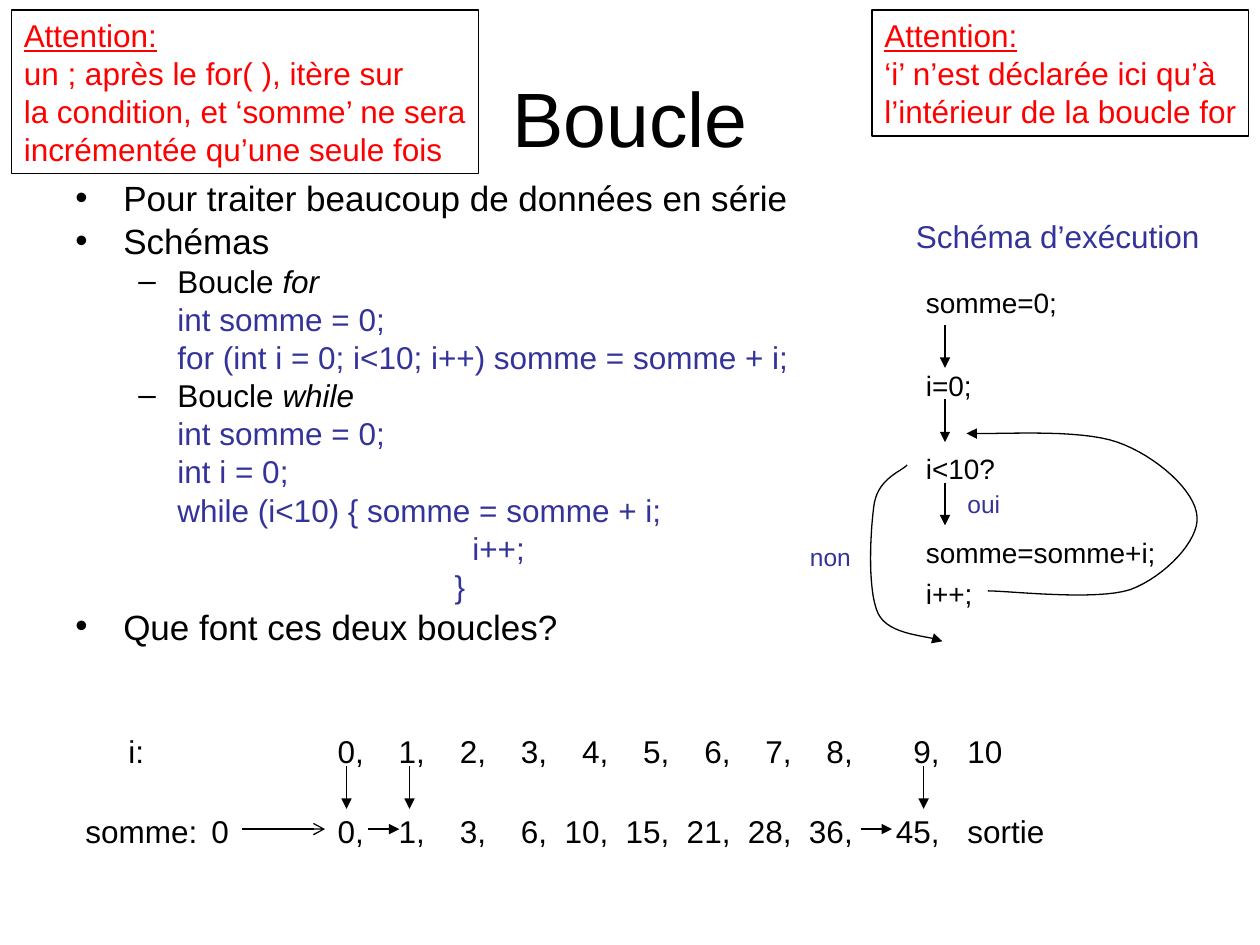
from lxml import etree
from pptx import Presentation
from pptx.dml.color import RGBColor
from pptx.enum.shapes import MSO_CONNECTOR, MSO_SHAPE
from pptx.enum.text import MSO_ANCHOR, PP_ALIGN
from pptx.oxml.ns import qn
from pptx.util import Inches, Pt

STRAIGHT = MSO_CONNECTOR.STRAIGHT
RECTANGLE = MSO_SHAPE.RECTANGLE
MIDDLE = MSO_ANCHOR.MIDDLE
LEFT, CENTER = PP_ALIGN.LEFT, PP_ALIGN.CENTER
BLACK, BLUE, RED = "000000", "333399", "FF0000"
CURVE_STEPS = 16

OUTLINE = [
    (0, "Pour traiter beaucoup de données en série", ""),
    (0, "Schémas", ""),
    (1, "Boucle ", "for"),
    (0.81, "int somme = 0;", ""),
    (0.81, "for (int i = 0; i<10; i++) somme = somme + i;", ""),
    (1, "Boucle ", "while"),
    (0.81, "int somme = 0;", ""),
    (0.81, "int i = 0;", ""),
    (0.81, "while (i<10) { somme = somme + i;", ""),
    (3.15, "i++;", ""),
    (3.01, "}", ""),
    (0, "Que font ces deux boucles?", ""),
]
BULLETS = {0: (0.38, 0.38, "•", 20, 5), 1: (0.81, 0.31, "–", 18, 4.5)}
SUMS = [0, 1, 3, 6, 10, 15, 21, 28, 36, 45]
EXIT_CURVE = [
    (7.2, 3.69), (7.16, 3.74), (6.98, 3.79), (6.94, 3.99), (6.91, 4.18),
    (6.88, 4.68), (6.97, 4.87), (7.06, 5.05), (7.37, 5.04), (7.48, 5.09),
]
REPEAT_CURVE = [
    (7.84, 4.69), (8.02, 4.69), (8.69, 4.77), (8.97, 4.68), (9.24, 4.58),
    (9.52, 4.29), (9.5, 4.1), (9.49, 3.9), (9.18, 3.62), (8.87, 3.51),
    (8.56, 3.4), (7.92, 3.45), (7.67, 3.44),
]


def color(value):
    """Turn a hex string into a colour."""
    return RGBColor.from_string(value)


def style(para, size, ink):
    """Set the font of a whole paragraph."""
    para.font.name = "Arial"
    para.font.size = Pt(size)
    para.font.color.rgb = color(ink)


def add_box(page, left, top, width, height):
    """Add an empty wrapping text box and return its text frame."""
    frame = page.shapes.add_textbox(
        Inches(left), Inches(top), Inches(width), Inches(height)).text_frame
    frame.word_wrap = True
    return frame


def add_para(frame, index):
    """Return the first paragraph of a frame, or a new one after it."""
    return frame.add_paragraph() if index else frame.paragraphs[0]


def add_label(page, left, top, width, height, text, size, ink=BLUE):
    """Add a one-line label and return its text frame."""
    frame = add_box(page, left, top, width, height)
    frame.paragraphs[0].text = text
    style(frame.paragraphs[0], size, ink)
    return frame


def set_indent(para, margin, hanging=0, bullet=None):
    """Set the left margin of a paragraph, with a hanging bullet if given."""
    props = para._p.get_or_add_pPr()
    props.set("marL", str(Inches(margin)))
    props.set("indent", str(-Inches(hanging)))
    if bullet:
        etree.SubElement(props, qn("a:buFont"), typeface="Arial")
        etree.SubElement(props, qn("a:buChar"), char=bullet)
    else:
        etree.SubElement(props, qn("a:buNone"))


def set_tabs(para, stops):
    """Set tab stops given as (position, alignment) pairs."""
    tabs = etree.SubElement(para._p.get_or_add_pPr(), qn("a:tabLst"))
    for position, side in stops:
        etree.SubElement(tabs, qn("a:tab"), pos=str(Inches(position)), algn=side)


def add_outline(page):
    """Add the bulleted outline with its code lines."""
    frame = add_box(page, 0.5, 1.42, 6.08, 4)
    for index, (level, text, keyword) in enumerate(OUTLINE):
        para = add_para(frame, index)
        margin, hanging, bullet, size, gap = BULLETS.get(
            level, (level, 0, None, 18, 4.5))
        set_indent(para, margin, hanging, bullet)
        para.line_spacing = 0.8
        if index:
            para.space_before = Pt(gap)
        para.add_run().text = text
        if keyword:
            span = para.add_run()
            span.text = keyword
            span.font.italic = True
        style(para, size, BLACK if bullet else BLUE)


def add_trace(page):
    """Add the two rows that follow i and somme through the loop."""
    frame = add_box(page, 0.58, 5.58, 9, 1.22)
    columns = [(2.21 + 0.485 * step, "r") for step in range(9)]
    columns += [(6.78, "r"), (7, "l")]
    rows = [(0.34, "\ti:", range(10), "10"), (1, "somme:\t0", SUMS, "sortie")]
    for index, (first_stop, head, values, last) in enumerate(rows):
        para = add_para(frame, index)
        set_tabs(para, [(first_stop, "l")] + columns)
        para.line_spacing = 1.6
        if index:
            para.space_before = Pt(11.2)
        para.text = "\t".join([head, *(f"{value}," for value in values), last])
        style(para, 18, BLACK)


def add_flow(page):
    """Add the steps of the execution diagram."""
    frame = add_box(page, 7.25, 2.33, 2.25, 2.53)
    steps = [("somme=0;", 0), ("i=0;", 38), ("i<10?", 38),
             ("somme=somme+i;", 38), ("i++;", 14)]
    for index, (text, gap) in enumerate(steps):
        para = add_para(frame, index)
        para.line_spacing = 0.5
        para.space_before = Pt(gap)
        para.text = text
        style(para, 16, BLACK)


def set_line(shape, head=None):
    """Give a shape a thin black line, with an arrowhead if named."""
    shape.line.color.rgb = color(BLACK)
    shape.line.width = Pt(0.75)
    if head:
        etree.SubElement(shape.line._get_or_add_ln(), qn("a:tailEnd"), type=head)


def add_arrow(page, x1, y1, x2, y2, head="triangle"):
    """Add a straight arrow."""
    arrow = page.shapes.add_connector(
        STRAIGHT, Inches(x1), Inches(y1), Inches(x2), Inches(y2))
    set_line(arrow, head)
    etree.SubElement(arrow._element.spPr, qn("a:effectLst"))


def bezier(points, t):
    """Return the point at t on a cubic curve, in EMU."""
    weights = ((1 - t) ** 3, 3 * t * (1 - t) ** 2, 3 * t ** 2 * (1 - t), t ** 3)
    return tuple(Inches(sum(w * point[axis] for w, point in zip(weights, points)))
                 for axis in (0, 1))


def add_curve(page, controls):
    """Add a curved arrow through a chain of cubic control points."""
    points = [bezier(controls[start:start + 4], step / CURVE_STEPS)
              for start in range(0, len(controls) - 1, 3)
              for step in range(1, CURVE_STEPS + 1)]
    builder = page.shapes.build_freeform(*bezier(controls[:4], 0))
    builder.add_line_segments(points, close=False)
    curve = builder.convert_to_shape()
    curve.shadow.inherit = False
    curve.fill.background()
    set_line(curve, "triangle")


def add_warning(page, left, width, height, lines):
    """Add a framed red warning whose first line is underlined."""
    box = page.shapes.add_shape(
        RECTANGLE, Inches(left), Inches(0.08), Inches(width), Inches(height))
    box.shadow.inherit = False
    box.fill.background()
    set_line(box)
    box.text_frame.word_wrap = False
    for index, text in enumerate(["Attention:", *lines]):
        para = add_para(box.text_frame, index)
        para.text = text
        para.alignment = LEFT
        style(para, 18, RED)
        para.font.underline = index == 0


def main():
    """Build the slide and save it."""
    deck = Presentation()
    deck.slide_width, deck.slide_height = Inches(10), Inches(7.5)
    page = deck.slides.add_slide(deck.slide_layouts[6])
    title = add_label(page, 0.5, 0.3, 9, 1.25, "Boucle", 44, BLACK)
    title.vertical_anchor = MIDDLE
    title.paragraphs[0].alignment = CENTER
    add_outline(page)
    add_trace(page)
    add_arrow(page, 1.92, 6.58, 2.58, 6.58, "arrow")
    for x in (2.92, 6.83):
        add_arrow(page, x, 6.58, x + 0.25, 6.58)
    for x, y in ((2.75, 6.08), (3.25, 6.08), (7.33, 6.08),
                 (7.5, 2.58), (7.5, 3.17), (7.5, 3.83)):
        add_arrow(page, x, y, x, y + 0.34)
    add_flow(page)
    add_label(page, 7.58, 3.83, 0.67, 0.34, "oui", 14)
    add_label(page, 6.33, 4.25, 0.67, 0.34, "non", 14)
    add_label(page, 7.17, 1.67, 2.5, 0.4, "Schéma d’exécution", 18)
    add_curve(page, EXIT_CURVE)
    add_curve(page, REPEAT_CURVE)
    add_warning(page, 6.92, 2.99, 1, [
        "‘i’ n’est déclarée ici qu’à", "l’intérieur de la boucle for"])
    add_warning(page, 0.09, 3.71, 1.3, [
        "un ; après le for( ), itère sur", "la condition, et ‘somme’ ne sera",
        "incrémentée qu’une seule fois"])
    deck.save("out.pptx")


if __name__ == "__main__":
    main()
